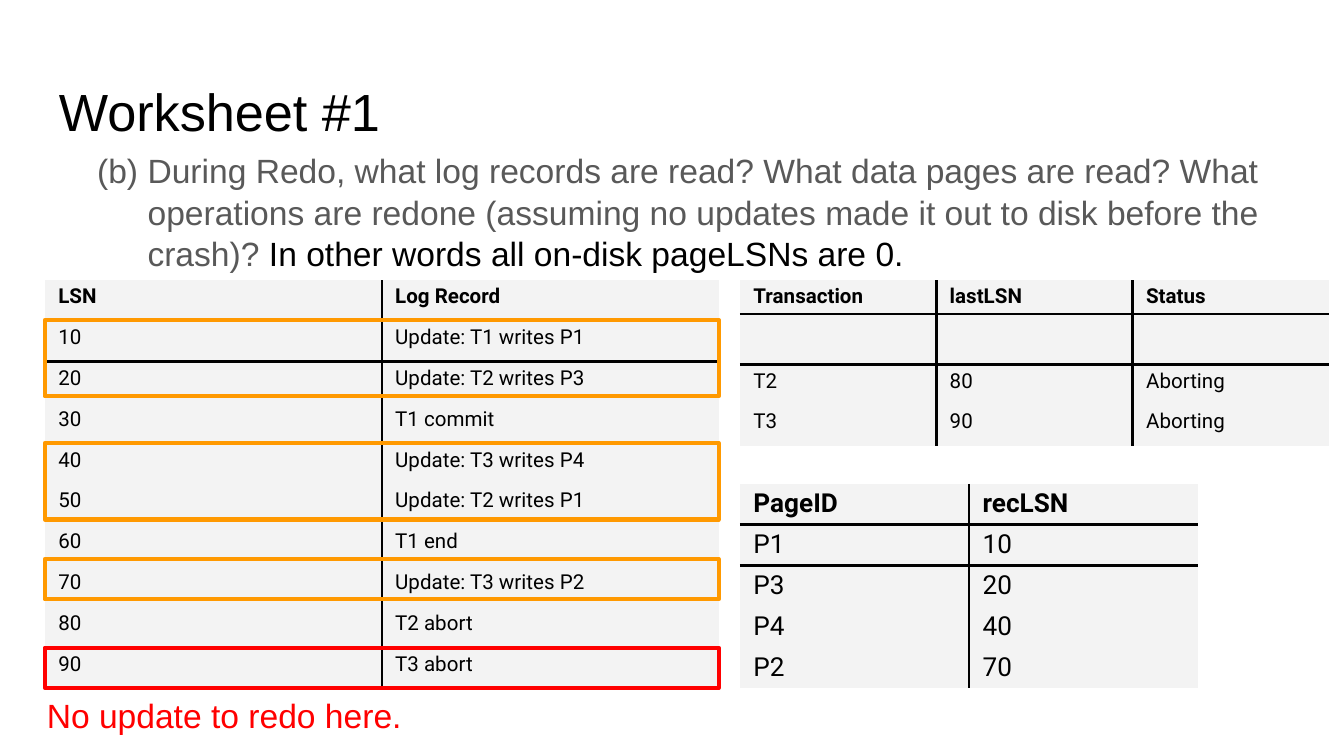
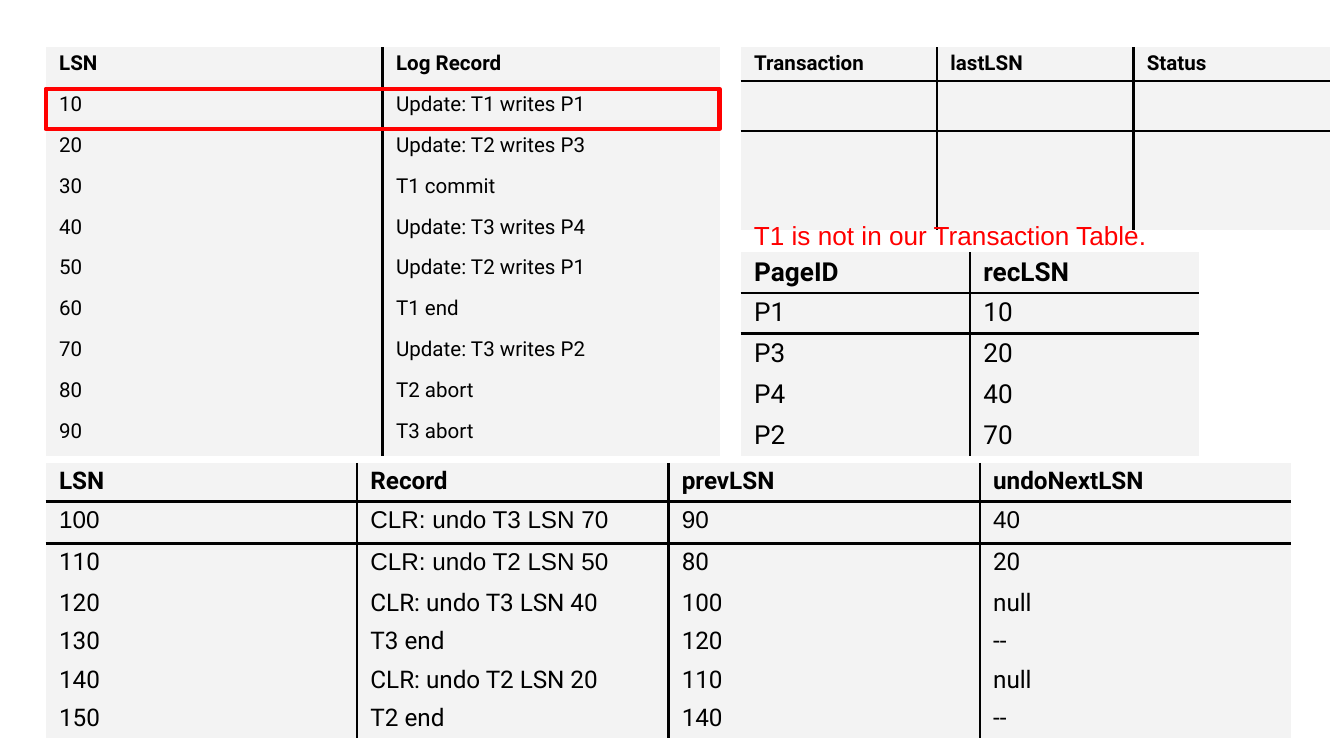
import pptx
import pptx.dml.color
import pptx.enum.shapes
import pptx.enum.text
import pptx.oxml
import pptx.oxml.ns
import pptx.util
from lxml import etree

Pt = pptx.util.Pt
qn = pptx.oxml.ns.qn

COLORS = {
    "ink": "000000",
    "question": "595959",
    "cell": "F3F3F3",
    "orange": "FF9900",
    "red": "FF0000",
}

LOG_ROWS = [
    ["LSN", "Log Record"],
    ["10", "Update: T1 writes P1"],
    ["20", "Update: T2 writes P3"],
    ["30", "T1 commit"],
    ["40", "Update: T3 writes P4"],
    ["50", "Update: T2 writes P1"],
    ["60", "T1 end"],
    ["70", "Update: T3 writes P2"],
    ["80", "T2 abort"],
    ["90", "T3 abort"],
]
TRANSACTION_HEADER = ["Transaction", "lastLSN", "Status"]
NO_TRANSACTION = ["", "", ""]
DIRTY_PAGE_ROWS = [
    ["PageID", "recLSN"],
    ["P1", "10"],
    ["P3", "20"],
    ["P4", "40"],
    ["P2", "70"],
]
UNDO_ROWS = [
    ["LSN", "Record", "prevLSN", "undoNextLSN"],
    ["100", "CLR: undo T3 LSN 70", "90", "40"],
    ["110", "CLR: undo T2 LSN 50", "80", "20"],
    ["120", "CLR: undo T3 LSN 40", "100", "null"],
    ["130", "T3 end", "120", "--"],
    ["140", "CLR: undo T2 LSN 20", "110", "null"],
    ["150", "T2 end", "140", "--"],
]
UNDO_ARIAL_CELLS = {(1, 0), (1, 1), (1, 2), (1, 3), (2, 1)}
UNDO_HEIGHTS = [20.4, 22.5, 21.9] + [20.4] * 4
ROW_HEIGHT = 21.9
HEADER_HEIGHT = 18.2
EMPTY_HEIGHT = 25.7
LOG_WIDTH = 361


def set_format(target, values):
    for name, value in values.items():
        setattr(target, name, value)


class Deck:
    def __init__(self):
        self.presentation = pptx.Presentation()
        set_format(self.presentation, {"slide_width": Pt(720), "slide_height": Pt(405)})
        self.slide = None

    def add_slide(self):
        self.slide = self.presentation.slides.add_slide(self.presentation.slide_layouts[6])

    def add_run(self, paragraph, text, size, color="ink", font="Arial", bold=False):
        run = paragraph.add_run()
        run.text = text
        set_format(run.font, {"name": font, "size": Pt(size), "bold": bold})
        run.font.color.rgb = pptx.dml.color.RGBColor.from_string(COLORS[color])

    def text(self, left, top, width, height, runs, size, inset=3.6):
        shape = self.slide.shapes.add_textbox(Pt(left), Pt(top), Pt(width), Pt(height))
        set_format(shape.text_frame, {
            "word_wrap": True,
            "vertical_anchor": pptx.enum.text.MSO_ANCHOR.TOP,
            "margin_left": Pt(7.2),
            "margin_right": Pt(7.2),
            "margin_top": Pt(inset),
            "margin_bottom": Pt(inset),
        })
        paragraph = shape.text_frame.paragraphs[0]
        for text, color in runs:
            self.add_run(paragraph, text, size, color)
        return paragraph

    def number(self, paragraph, start, color):
        paragraph.line_spacing = 1.03
        properties = paragraph._p.get_or_add_pPr()
        properties.set("marL", str(Pt(36)))
        properties.set("indent", str(-Pt(27)))
        bullet_color = etree.SubElement(properties, qn("a:buClr"))
        etree.SubElement(bullet_color, qn("a:srgbClr"), val=COLORS[color])
        etree.SubElement(properties, qn("a:buAutoNum"), type="alphaLcParenBoth", startAt=str(start))

    def borders(self, cell, visible):
        properties = cell._tc.get_or_add_tcPr()
        for side in "LRTB":
            line = etree.SubElement(properties, qn(f"a:ln{side}"), w=str(Pt(1.5)))
            if side in visible:
                fill = etree.SubElement(line, qn("a:solidFill"))
                etree.SubElement(fill, qn("a:srgbClr"), val=COLORS["ink"])
            else:
                etree.SubElement(line, qn("a:noFill"))

    def table(self, left, top, column_width, heights, rows, size, arial_cells=()):
        column_count = len(rows[0])
        table = self.slide.shapes.add_table(
            len(rows), column_count, Pt(left), Pt(top),
            Pt(column_width * column_count), Pt(sum(heights))).table
        set_format(table, {"first_row": False, "horz_banding": False})
        for column in table.columns:
            column.width = Pt(column_width)
        for row_index, (row, height) in enumerate(zip(rows, heights)):
            table.rows[row_index].height = Pt(height)
            for column_index, text in enumerate(row):
                cell = table.cell(row_index, column_index)
                set_format(cell, {
                    "margin_left": Pt(7.2), "margin_right": Pt(7.2),
                    "margin_top": Pt(2.5), "margin_bottom": Pt(2.5),
                })
                edges = {
                    "L": column_index > 0,
                    "R": column_index < column_count - 1,
                    "T": row_index in (1, 2),
                    "B": row_index in (0, 1),
                }
                self.borders(cell, [side for side, shown in edges.items() if shown])
                cell.fill.solid()
                cell.fill.fore_color.rgb = pptx.dml.color.RGBColor.from_string(COLORS["cell"])
                if text:
                    font = "Arial" if (row_index, column_index) in arial_cells else "Roboto"
                    self.add_run(cell.text_frame.paragraphs[0], text, size,
                                 font=font, bold=row_index == 0)

    def log_table(self, left, top):
        self.table(left, top, LOG_WIDTH / 2, [ROW_HEIGHT] * len(LOG_ROWS), LOG_ROWS, 11)

    def transaction_table(self, left, top, row_height, rows):
        heights = [HEADER_HEIGHT, EMPTY_HEIGHT, row_height, row_height]
        self.table(left, top, 105.2, heights, [TRANSACTION_HEADER, NO_TRANSACTION, *rows], 11)

    def page_table(self, left, top):
        heights = [ROW_HEIGHT] * len(DIRTY_PAGE_ROWS)
        self.table(left, top, 122.8, heights, DIRTY_PAGE_ROWS, 14)

    def highlight(self, left, top, height, color):
        shape = self.slide.shapes.add_shape(
            pptx.enum.shapes.MSO_SHAPE.RECTANGLE, Pt(left), Pt(top), Pt(LOG_WIDTH), Pt(height))
        shape.shadow.inherit = False
        shape.fill.background()
        shape.line.color.rgb = pptx.dml.color.RGBColor.from_string(COLORS[color])
        shape.line.width = Pt(2.25)


def build_redo_slide(deck):
    deck.add_slide()
    deck.transaction_table(396.4, 150, ROW_HEIGHT,
                           [["T2", "80", "Aborting"], ["T3", "90", "Aborting"]])
    deck.page_table(396.4, 259.2)
    deck.log_table(24, 150)
    deck.text(24.5, 35.3, 671, 45.4, [("Worksheet #1", "ink")], 28, inset=7.2)
    question = deck.text(36, 76.3, 648, 73.4, [
        ("During Redo, what log records are read? What data pages are read? What operations "
         "are redone (assuming no updates made it out to disk before the crash)? ", "question"),
        ("In other words all on-disk pageLSNs are 0.", "ink"),
    ], 18)
    deck.number(question, 2, "question")
    for top, height, color in [(171.4, 41, "orange"), (237.4, 41, "orange"),
                               (299.5, 21.6, "orange"), (347, 21.6, "red")]:
        deck.highlight(24, top, height, color)
    deck.text(18, 368.6, 391.7, 36, [("No update to redo here.", "red")], 18)


def build_undo_slide(deck):
    deck.add_slide()
    deck.log_table(24.5, 25.2)
    deck.transaction_table(396.8, 25.2, EMPTY_HEIGHT, [NO_TRANSACTION] * 2)
    deck.page_table(396.8, 135)
    deck.highlight(24.5, 47.5, 21.6, "red")
    deck.table(24.5, 248, 166.8, UNDO_HEIGHTS, UNDO_ROWS, 13, UNDO_ARIAL_CELLS)
    deck.text(396.8, 110.2, 257.8, 27.4,
              [("T1 is not in our Transaction Table.", "red")], 14, inset=7.2)


def main():
    deck = Deck()
    build_redo_slide(deck)
    build_undo_slide(deck)
    deck.presentation.save("out.pptx")


if __name__ == "__main__":
    main()
